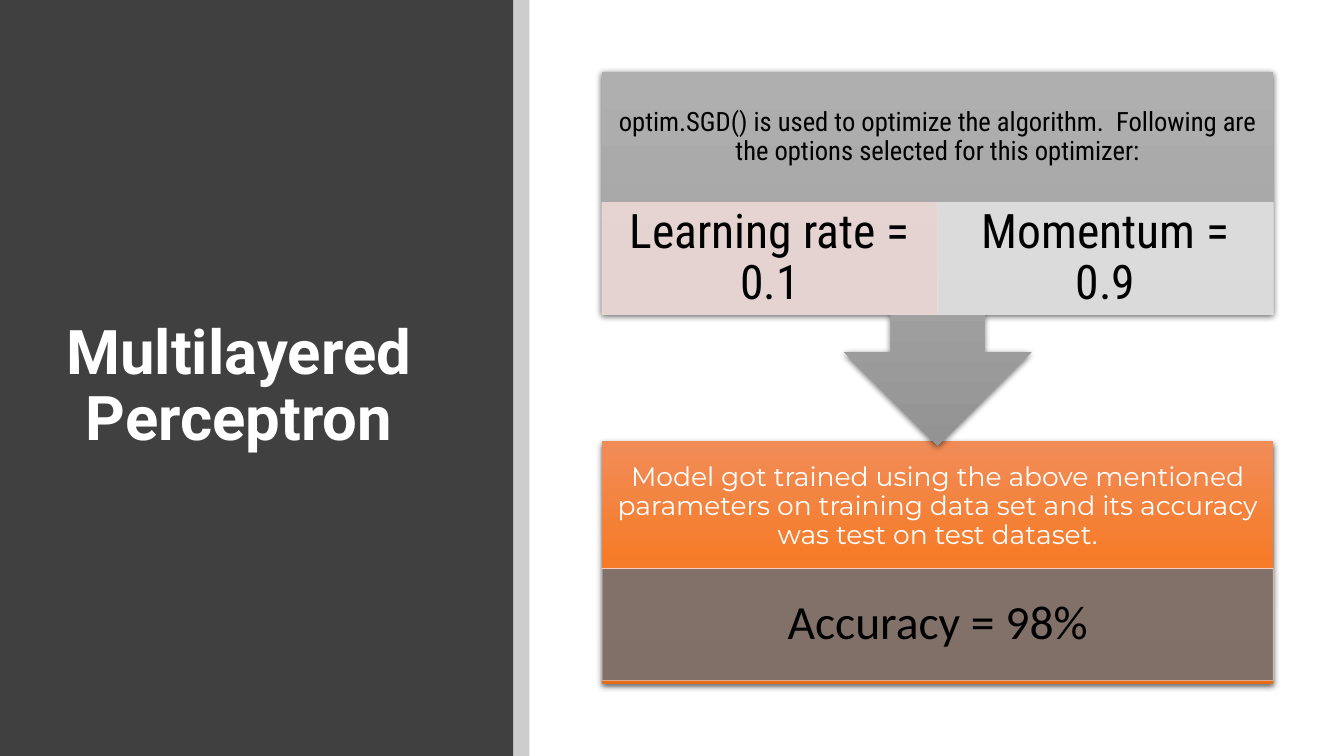
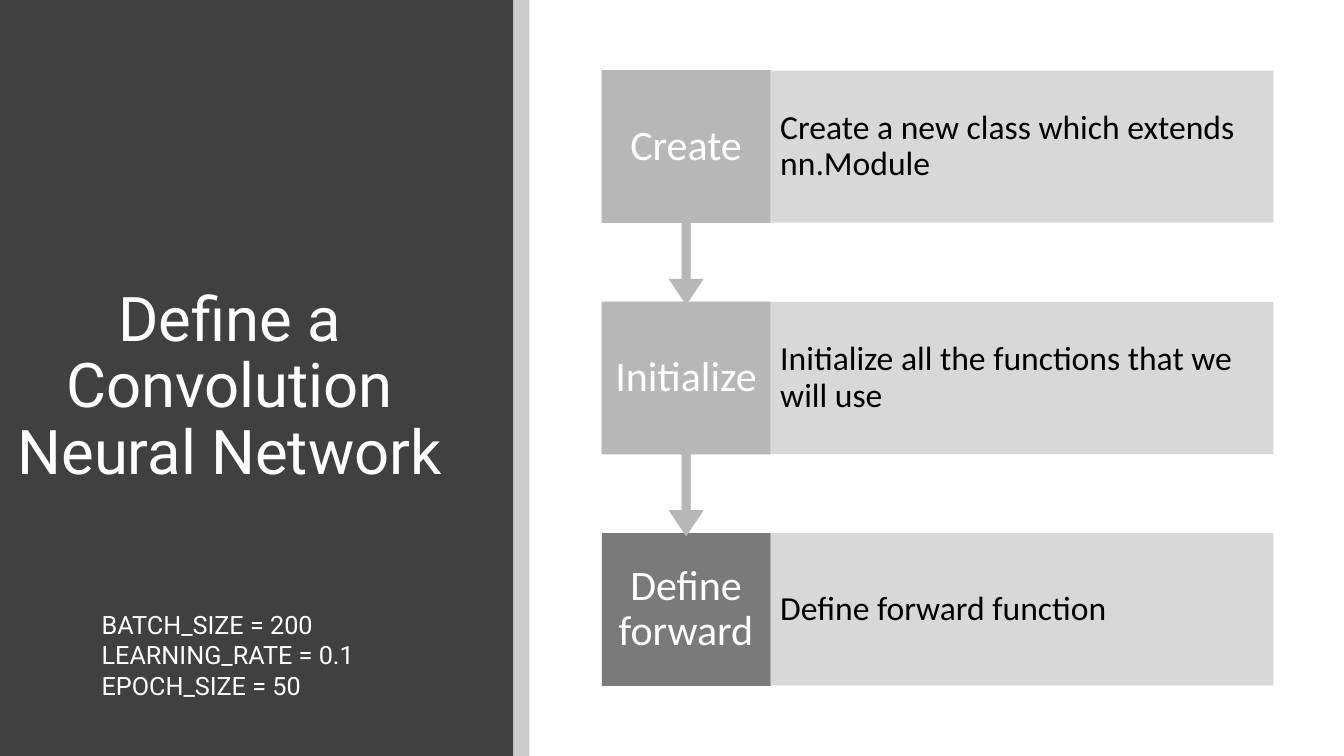
from dataclasses import dataclass

from pptx import Presentation
from pptx.dml.color import RGBColor
from pptx.enum.shapes import MSO_SHAPE as Shape
from pptx.enum.text import MSO_ANCHOR as Anchor, PP_ALIGN as Align
from pptx.oxml import parse_xml
from pptx.oxml.ns import nsdecls, qn
from pptx.util import Inches, Pt


@dataclass(frozen=True)
class Theme:
    panel: str = "404040"
    white: str = "FFFFFF"
    black: str = "000000"
    orange: tuple = ("F18C57", "F67B28", "E56C19")
    gray: tuple = ("AFAFAF", "A5A5A5", "939393")
    accuracy: str = "767171"
    accuracy_line: str = "F8D7CE"
    rate: str = "EDD9D7"
    momentum: str = "E1E1E1"
    step: str = "B7B7B7"
    last_step: str = "7A7A7A"
    detail: str = "D4D4D4"
    title_font: str = "Roboto"
    body_font: str = "Calibri"
    condensed_font: str = "Roboto Condensed"
    accent_font: str = "Montserrat"
    title_size: int = 44
    value_size: int = 34
    step_size: int = 30
    detail_size: int = 24
    lead_size: int = 19
    note_size: int = 18


theme = Theme()


def add_box(slide, kind, at, fill, line=None, opacity=100):
    """Add a shape; a tuple of colours gives a vertical gradient with a shadow."""
    shape = slide.shapes.add_shape(kind, *map(Inches, at))
    shape.shadow.inherit = False
    properties = shape.element.spPr
    if line:
        shape.line.color.rgb = RGBColor.from_string(line)
        shape.line.width = Pt(0.5)
    else:
        shape.line.fill.background()
    if isinstance(fill, tuple):
        stops = "".join(
            f'<a:gs pos="{index * 50000}"><a:srgbClr val="{color}"/></a:gs>'
            for index, color in enumerate(fill))
        properties.find(qn("a:prstGeom")).addnext(parse_xml(
            f'<a:gradFill {nsdecls("a")} rotWithShape="0"><a:gsLst>{stops}</a:gsLst>'
            '<a:lin ang="5400000" scaled="0"/></a:gradFill>'))
        properties.find(qn("a:effectLst")).append(parse_xml(
            f'<a:outerShdw {nsdecls("a")} blurRad="57150" dist="19050" dir="5400000" '
            'algn="ctr" rotWithShape="0"><a:srgbClr val="000000">'
            '<a:alpha val="63000"/></a:srgbClr></a:outerShdw>'))
    else:
        shape.fill.solid()
        shape.fill.fore_color.rgb = RGBColor.from_string(fill)
    if opacity < 100:
        for color in properties.iter(qn("a:srgbClr")):
            color.append(parse_xml(f'<a:alpha {nsdecls("a")} val="{opacity * 1000}"/>'))
    return shape


def write(shape, text, size, font, color, inset=(0.1, 0.05),
          align=Align.CENTER, spacing=0.9, bold=False):
    frame = shape.text_frame
    frame.text = text
    frame.word_wrap = True
    frame.vertical_anchor = Anchor.MIDDLE
    frame.margin_left = frame.margin_right = Inches(inset[0])
    frame.margin_top = frame.margin_bottom = Inches(inset[1])
    for paragraph in frame.paragraphs:
        paragraph.alignment = align
        paragraph.line_spacing = spacing
        for run in paragraph.runs:
            run.font.size = Pt(size)
            run.font.name = font
            run.font.bold = bold
            run.font.color.rgb = RGBColor.from_string(color)


presentation = Presentation()
presentation.slide_width = Inches(13.33)
presentation.slide_height = Inches(7.5)

# Shared side panel, band and title
slides = []
for title, left, width, bold in (
    ("Multilayered Perceptron", 0.01, 4.72, True),
    ("Define a Convolution Neural Network", 0, 4.56, False),
):
    slide = presentation.slides.add_slide(presentation.slide_layouts[6])
    add_box(slide, Shape.RECTANGLE, (0, 0, 5.09, 7.5), theme.panel)
    add_box(slide, Shape.RECTANGLE, (5.09, 0, 0.16, 7.5), theme.black, opacity=20)
    title_box = slide.shapes.add_textbox(*map(Inches, (left, 0.89, width, 5.91)))
    write(title_box, title, theme.title_size, theme.title_font, theme.white, bold=bold)
    slides.append(slide)
perceptron_slide, network_slide = slides

content_left, content_width = 5.97, 6.66

# Perceptron: result block, then the callout pointing down to it
add_box(perceptron_slide, Shape.RECTANGLE,
        (content_left, 4.38, content_width, 2.41), theme.orange)
callout = add_box(perceptron_slide, Shape.UP_ARROW_CALLOUT,
                  (content_left, 0.71, content_width, 3.71), theme.gray)
callout.rotation = 180

for top, text, font, color in (
    (0.71, "optim.SGD() is used to optimize the algorithm.\u00a0 Following are the options "
           "selected for this optimizer:".replace("\u00a0", " "),
     theme.condensed_font, theme.black),
    (4.38, "Model got trained using the above mentioned parameters on training data set "
           "and its accuracy was test on test dataset.",
     theme.accent_font, theme.white),
):
    lead = perceptron_slide.shapes.add_textbox(
        *map(Inches, (content_left, top, content_width, 1.3)))
    write(lead, text, theme.lead_size, font, color, inset=(0.15, 0.15))

# Perceptron: parameter and accuracy values
half = content_width / 2
for left, top, width, text, font, fill, line in (
    (content_left, 2.01, half, "Learning rate = 0.1",
     theme.condensed_font, theme.rate, theme.rate),
    (content_left + half, 2.01, half, "Momentum = 0.9",
     theme.condensed_font, theme.momentum, theme.momentum),
    (content_left, 5.64, content_width, "Accuracy = 98%",
     theme.body_font, theme.accuracy, theme.accuracy_line),
):
    value = add_box(perceptron_slide, Shape.RECTANGLE, (left, top, width, 1.11),
                    fill, line, opacity=90)
    write(value, text, theme.value_size, font, theme.black, inset=(0.26, 0.05))

# Network: steps from the last up, so each arrow lies over the step below
steps = (
    ("Create", "Create a new class which extends nn.Module"),
    ("Initialize", "Initialize all the functions that we will use"),
    ("Define forward", "Define forward function"),
)
step_width, step_height, first_top, pitch = 1.67, 1.51, 0.7, 2.295
for index, (name, description) in reversed(list(enumerate(steps))):
    top = first_top + index * pitch
    label_at = (content_left, top, step_width, step_height)
    if index == len(steps) - 1:
        label = add_box(network_slide, Shape.RECTANGLE, label_at,
                        theme.last_step, theme.last_step)
    else:
        arrow = add_box(network_slide, Shape.UP_ARROW_CALLOUT,
                        (content_left, top, step_width, 2.32), theme.step, theme.step)
        arrow.rotation = 180
        for position, adjustment in enumerate((0.05, 0.1, 0.15, 0.65)):
            arrow.adjustments[position] = adjustment
        label = network_slide.shapes.add_textbox(*map(Inches, label_at))
    write(label, name, theme.step_size, theme.body_font, theme.white, inset=(0.12, 0.23))
    detail = add_box(network_slide, Shape.RECTANGLE,
                     (content_left + step_width, top, content_width - step_width, step_height),
                     theme.detail, opacity=90)
    write(detail, description, theme.detail_size, theme.body_font, theme.black,
          inset=(0.1, 0.33), align=Align.LEFT)

# Network: training settings
settings = network_slide.shapes.add_textbox(*map(Inches, (0.91, 5.99, 6.38, 1.01)))
write(settings, "BATCH_SIZE = 200\nLEARNING_RATE = 0.1\nEPOCH_SIZE = 50",
      theme.note_size, theme.title_font, theme.white, align=Align.LEFT, spacing=1.0)

presentation.save("out.pptx")
